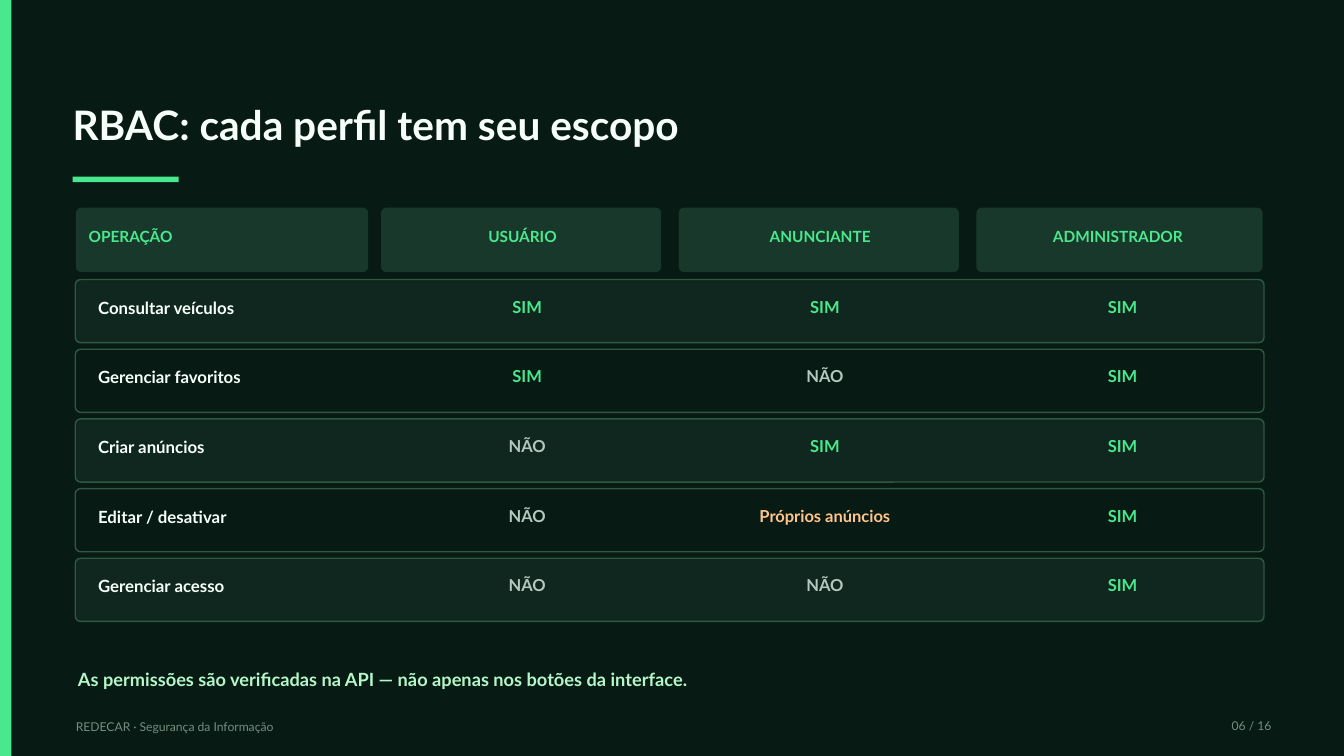
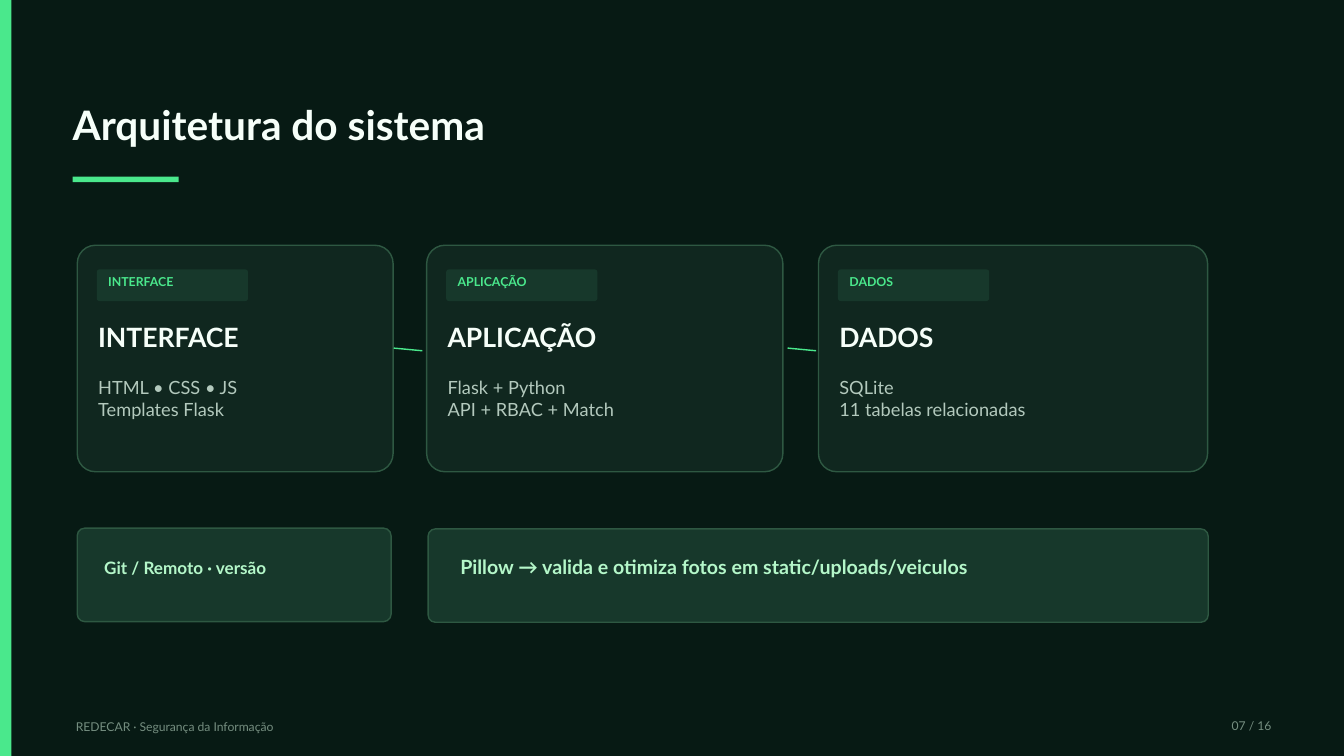
from lxml.etree import SubElement
from pptx import Presentation
from pptx.dml.color import RGBColor
from pptx.enum.shapes import MSO_CONNECTOR as Connector, MSO_SHAPE as Shape
from pptx.enum.text import MSO_ANCHOR as Anchor, MSO_AUTO_SIZE as AutoSize, PP_ALIGN as Align
from pptx.oxml.ns import qn
from pptx.util import Inches, Pt

COLUMNS, ROWS = 200, 112.5
FONT = "Lato"
NIGHT, PANEL, CHIP, EDGE = "071A14", "10271F", "17382B", "2E5842"
GREEN, MINT, WHITE = "4AE88C", "B4F7C9", "F6FFF9"
GREY, MUTED, ORANGE = "B3C9BD", "758E80", "FFC48B"
NO_GRID_STYLE = "{2D5ABB26-0587-4C30-8999-92F81FD0307C}"
LINE_HEIGHT = 1.2
PAGE_COUNT = 16


def color(hex_value):
    return RGBColor.from_string(hex_value)


def write(frame, text, size=18, ink=WHITE, bold=True, align=Align.LEFT):
    frame.text = text
    for para in frame.paragraphs:
        para.alignment = align
        para.line_spacing = Pt(round(size * LINE_HEIGHT, 1))
        para.space_before = para.space_after = Pt(0)
        for span in para.runs:
            span.font.name = FONT
            span.font.size = Pt(size)
            span.font.bold = bold
            span.font.color.rgb = color(ink)


class Builder:
    def __init__(self):
        self.deck = Presentation()
        self.deck.slide_width = Inches(20)
        self.deck.slide_height = Inches(11.25)
        self.page = None

    def across(self, columns):
        return round(self.deck.slide_width * columns / COLUMNS)

    def down(self, rows):
        return round(self.deck.slide_height * rows / ROWS)

    def area(self, left, top, width, height):
        return self.across(left), self.down(top), self.across(width), self.down(height)

    def start_page(self, title, number):
        self.page = self.deck.slides.add_slide(self.deck.slide_layouts[5])
        self.page.background.fill.solid()
        self.page.background.fill.fore_color.rgb = color(NIGHT)
        self.panel(0, 0, 1.7, ROWS, fill=GREEN)
        heading = self.page.shapes.title
        heading.left, heading.top, heading.width, heading.height = self.area(10.8, 14.9, 178.6, 10.3)
        self.fit(heading.text_frame)
        write(heading.text_frame, title, size=43.5)
        self.panel(10.8, 26.3, 15.8, 0.8, fill=GREEN)
        self.text("REDECAR · Segurança da Informação", 11.3, 107.1, 60, 3.1,
                  size=13, ink=MUTED, bold=False)
        self.text(f"{number:02} / {PAGE_COUNT}", 176.4, 106.9, 12.8, 3.1,
                  size=13, ink=MUTED, bold=False, align=Align.RIGHT)

    def fit(self, frame):
        frame.margin_left = frame.margin_right = frame.margin_top = frame.margin_bottom = 0
        frame.word_wrap = True
        frame.auto_size = AutoSize.NONE
        frame.vertical_anchor = Anchor.TOP

    def panel(self, left, top, width, height, fill=PANEL, edge=None, radius=0):
        kind = Shape.ROUNDED_RECTANGLE if radius else Shape.RECTANGLE
        panel = self.page.shapes.add_shape(kind, *self.area(left, top, width, height))
        panel.shadow.inherit = False
        if radius:
            panel.adjustments[0] = radius / min(width, height)
        panel.fill.solid()
        panel.fill.fore_color.rgb = color(fill)
        if edge:
            panel.line.color.rgb = color(edge)
            panel.line.width = Pt(1.5)
        else:
            panel.line.fill.background()

    def text(self, text, left, top, width, height, **style):
        box = self.page.shapes.add_textbox(*self.area(left, top, width, height))
        self.fit(box.text_frame)
        write(box.text_frame, text, **style)

    def link(self, left, top, right, bottom):
        link = self.page.shapes.add_connector(
            Connector.STRAIGHT, self.across(left), self.down(top),
            self.across(right), self.down(bottom))
        link.line.color.rgb = color(GREEN)
        link.line.width = Pt(1.5)
        SubElement(link.element.spPr, qn("a:effectLst"))

    def table(self, left, top, widths, heights):
        frame = self.page.shapes.add_table(
            len(heights), len(widths),
            *self.area(left, top, sum(widths), sum(heights)))
        for style in frame.element.iter(qn("a:tableStyleId")):
            style.text = NO_GRID_STYLE
        table = frame.table
        table.horz_banding = False
        for column, width in zip(table.columns, widths):
            column.width = self.across(width)
        for row, height in zip(table.rows, heights):
            row.height = self.down(height)
        return table

    def cell(self, cell, text, left=0, top=0, right=0, **style):
        cell.fill.background()
        cell.margin_left, cell.margin_right = self.across(left), self.across(right)
        cell.margin_top, cell.margin_bottom = self.down(top), 0
        cell.vertical_anchor = Anchor.TOP
        write(cell.text_frame, text, **style)


def build_permissions(builder):
    builder.start_page("RBAC: cada perfil tem seu escopo", 6)
    roles = ["OPERAÇÃO", "USUÁRIO", "ANUNCIANTE", "ADMINISTRADOR"]
    operations = [
        ("Consultar veículos", "SIM", "SIM", "SIM"),
        ("Gerenciar favoritos", "SIM", "NÃO", "SIM"),
        ("Criar anúncios", "NÃO", "SIM", "SIM"),
        ("Editar / desativar", "NÃO", "Próprios anúncios", "SIM"),
        ("Gerenciar acesso", "NÃO", "NÃO", "SIM"),
    ]
    inks = {"SIM": GREEN, "NÃO": GREY}
    header_top, first_row, row_step = 30.9, 41.6, 10.37
    for left, width in [(11.3, 43.5), (56.7, 41.7), (101, 41.7), (145.3, 42.6)]:
        builder.panel(left, header_top, width, 9.6, fill=CHIP, radius=0.8)
    for index in range(len(operations)):
        builder.panel(11.2, first_row + index * row_step, 176.9, 9.4,
                      fill=NIGHT if index % 2 else PANEL, edge=EDGE, radius=0.8)

    table = builder.table(11.2, header_top, [45.1] + [44.3] * 3,
                          [first_row - header_top] + [row_step] * len(operations))
    for column, role in enumerate(roles):
        side = {"right": 1.4, "align": Align.CENTER} if column else {"left": 2}
        builder.cell(table.cell(0, column), role, top=2.9, size=16.5, ink=GREEN, **side)
    for row, (operation, *answers) in enumerate(operations, 1):
        builder.cell(table.cell(row, 0), operation, left=3.4, top=2.7)
        for column, answer in enumerate(answers, 1):
            builder.cell(table.cell(row, column), answer, top=2.6, size=17.7,
                         ink=inks.get(answer, ORANGE), align=Align.CENTER)
    builder.text("As permissões são verificadas na API — não apenas nos botões da interface.",
                 11.6, 99.4, 174.1, 5.1, size=19.5, ink=MINT)


def build_architecture(builder):
    builder.start_page("Arquitetura do sistema", 7)
    layers = [
        (11.5, 47, "INTERFACE", "HTML • CSS • JS\nTemplates Flask"),
        (63.5, 53, "APLICAÇÃO", "Flask + Python\nAPI + RBAC + Match"),
        (121.8, 57.9, "DADOS", "SQLite\n11 tabelas relacionadas"),
    ]
    for left, width, layer, details in layers:
        builder.panel(left, 36.5, width, 33.7, edge=EDGE, radius=2.7)
        builder.panel(left + 2.9, 40.1, 22.5, 4.7, fill=CHIP, radius=0.4)
        builder.text(layer, left + 4.6, 40.8, 19.2, 3.3, size=13.2, ink=GREEN)
        builder.text(layer, left + 3.1, 47.7, width - 6.2, 5.1, size=28.5)
        builder.text(details, left + 3.1, 56, width - 6.2, 10.4,
                     size=19.5, ink=GREY, bold=False)
    for left in (58.6, 117.2):
        builder.link(left, 51.8, left + 4.25, 52.2)

    builder.panel(63.7, 78.7, 116.1, 13.9, fill=CHIP, edge=EDGE, radius=1.1)
    builder.text("Pillow → valida e otimiza fotos em static/uploads/veiculos",
                 68.5, 82.6, 103.6, 6.6, size=21, ink=MINT)
    builder.panel(11.5, 78.6, 46.7, 13.9, fill=CHIP, edge=EDGE, radius=1.1)
    builder.text("Git / Remoto · versão", 15.5, 82.9, 40.1, 5.3, size=18.3, ink=MINT)


def main():
    builder = Builder()
    build_permissions(builder)
    build_architecture(builder)
    builder.deck.save("out.pptx")


if __name__ == "__main__":
    main()
